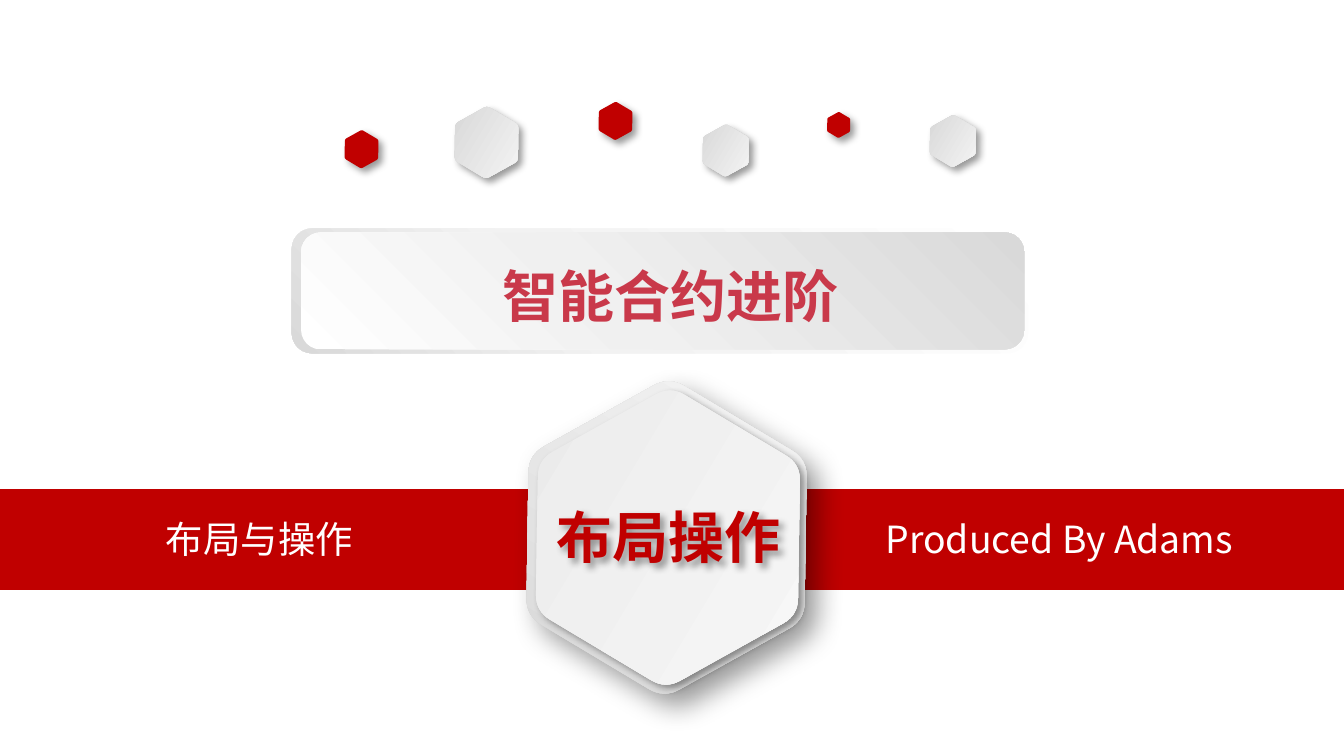
import math

import lxml.etree
import pptx
import pptx.dml.color
import pptx.enum.shapes
import pptx.enum.text
import pptx.oxml.ns
import pptx.util

Inches = pptx.util.Inches
Color = pptx.dml.color.RGBColor
Shape = pptx.enum.shapes.MSO_SHAPE
Align = pptx.enum.text.PP_ALIGN
Anchor = pptx.enum.text.MSO_ANCHOR
qn = pptx.oxml.ns.qn

RED = Color(0xC0, 0x00, 0x00)
ROSE = Color(0xC9, 0x39, 0x4A)
WHITE = Color(0xFF, 0xFF, 0xFF)
PALE = Color(0xF9, 0xF9, 0xF9)
MIST = Color(0xF2, 0xF2, 0xF2)
FOG = Color(0xF0, 0xF0, 0xF0)
CLOUD = Color(0xE9, 0xE9, 0xE9)
SILVER = Color(0xD9, 0xD9, 0xD9)
STEEL = Color(0xD3, 0xD3, 0xD3)
BLACK = Color(0x00, 0x00, 0x00)

FONT = "Noto Sans CJK SC"
WIDTH = 10
HEIGHT = WIDTH * 9 / 16
TILT = 30.9
CORNER = 0.11
CURVE_STEPS = 8

SMALL_SHADOW = {"blur": 4, "distance": 3}
LARGE_SHADOW = {"blur": 15, "distance": 9}
GREY_FILL = {"stops": [(0, STEEL), (100, PALE)], "angle": 0}
RIM_FILL = {"stops": [(0, STEEL), (100, PALE)], "angle": 270}
FACE_FILL = {"stops": [(0, CLOUD), (100, PALE)], "angle": 0}

BAND = (0, 3.64, WIDTH, 0.75)
HEXAGONS = [
    (3.62, 1.06, 0.47, GREY_FILL, SMALL_SHADOW),
    (4.58, 0.9, 0.25, RED, SMALL_SHADOW),
    (2.69, 1.11, 0.25, RED, SMALL_SHADOW),
    (5.4, 1.12, 0.34, GREY_FILL, SMALL_SHADOW),
    (6.24, 0.93, 0.17, RED, SMALL_SHADOW),
    (7.09, 1.05, 0.34, GREY_FILL, SMALL_SHADOW),
    (4.96, 4, 2.07, RIM_FILL, LARGE_SHADOW),
    (4.97, 4, 1.95, FACE_FILL, SMALL_SHADOW),
]
PLATES = [
    ((2.17, 1.7, 5.48, 0.93),
     {"stops": [(0, WHITE), (62, MIST), (100, SILVER)], "angle": 135}),
    ((2.24, 1.73, 5.38, 0.87),
     {"stops": [(0, WHITE), (42, FOG), (100, SILVER)], "angle": 315}),
]
SMALL_TEXT = {"size": pptx.util.Pt(20), "name": FONT, "bold": False}
LARGE_TEXT = {"size": pptx.util.Pt(30), "name": FONT, "bold": True}
LABELS = [
    ("布局与操作", (0.17, 3.79, 3.52, 0.44), Align.CENTER, SMALL_TEXT, WHITE),
    ("Produced By Adams", (6.49, 3.79, 3.5, 0.44), Align.LEFT, SMALL_TEXT, WHITE),
    ("智能合约进阶", (2.25, 1.9, 5.48, 0.6), Align.CENTER, LARGE_TEXT, ROSE),
]
BADGE = ("布局操作", (3.99, 3.74, 1.97, 0.5), Align.CENTER, LARGE_TEXT, RED)


def frame(place):
    return [Inches(length) for length in place]


def add_color(parent, color):
    return lxml.etree.SubElement(parent, qn("a:srgbClr"), val=str(color))


def paint(shape, fill):
    shape.line.fill.background()
    shape.shadow.inherit = False
    if isinstance(fill, Color):
        shape.fill.solid()
        shape.fill.fore_color.rgb = fill
        return
    shape.fill.gradient()
    shape.fill.gradient_angle = (360 - fill["angle"]) % 360
    stop_list = next(shape._element.iter(qn("a:gsLst")))
    for stop in list(stop_list):
        stop_list.remove(stop)
    for percent, color in fill["stops"]:
        stop = lxml.etree.SubElement(stop_list, qn("a:gs"), pos=str(percent * 1000))
        add_color(stop, color)


def cast_shadow(shape, blur, distance):
    effects = next(shape._element.iter(qn("a:effectLst")))
    shadow = lxml.etree.SubElement(
        effects, qn("a:outerShdw"), blurRad=str(pptx.util.Pt(blur)),
        dist=str(pptx.util.Pt(distance)), dir="2700000", algn="tl", rotWithShape="0")
    lxml.etree.SubElement(add_color(shadow, BLACK), qn("a:alpha"), val="40000")


def hexagon_outline(center_x, center_y, height):
    radius = height / math.sqrt(3)
    corners = [(center_x + radius * math.cos(math.radians(60 * turn)),
                center_y + radius * math.sin(math.radians(60 * turn)))
               for turn in range(6)]
    outline = []
    for index, corner in enumerate(corners):
        before, after = corners[index - 1], corners[(index + 1) % 6]
        for step in range(CURVE_STEPS + 1):
            share = step / CURVE_STEPS
            pull_before, pull_after = CORNER * (1 - share) ** 2, CORNER * share ** 2
            outline.append(tuple(
                Inches(c + pull_before * (b - c) + pull_after * (a - c))
                for b, c, a in zip(before, corner, after)))
    return outline


def add_hexagon(page, center_x, center_y, height, fill, shadow):
    outline = hexagon_outline(center_x, center_y, height)
    builder = page.shapes.build_freeform(*outline[0], scale=1.0)
    builder.add_line_segments(outline[1:], close=True)
    hexagon = builder.convert_to_shape()
    hexagon.rotation = TILT
    paint(hexagon, fill)
    cast_shadow(hexagon, **shadow)


def write(box, text, align, style, color):
    box.text_frame.word_wrap = True
    para = box.text_frame.paragraphs[0]
    para.alignment = align
    span = para.add_run()
    span.text = text
    for attribute, value in style.items():
        setattr(span.font, attribute, value)
    span.font.color.rgb = color
    lxml.etree.SubElement(span.font._element, qn("a:ea"), typeface=FONT)


def main():
    deck = pptx.Presentation()
    deck.slide_width, deck.slide_height = Inches(WIDTH), Inches(HEIGHT)
    page = deck.slides.add_slide(deck.slide_layouts[6])

    paint(page.shapes.add_shape(Shape.RECTANGLE, *frame(BAND)), RED)
    for hexagon in HEXAGONS:
        add_hexagon(page, *hexagon)
    for place, fill in PLATES:
        paint(page.shapes.add_shape(Shape.ROUNDED_RECTANGLE, *frame(place)), fill)
    for text, place, *look in LABELS:
        write(page.shapes.add_textbox(*frame(place)), text, *look)

    text, place, *look = BADGE
    badge = page.shapes.add_shape(Shape.ROUNDED_RECTANGLE, *frame(place))
    badge.fill.background()
    badge.line.fill.background()
    badge.shadow.inherit = False
    cast_shadow(badge, **SMALL_SHADOW)
    badge.text_frame.vertical_anchor = Anchor.MIDDLE
    write(badge, text, *look)

    deck.save("out.pptx")


if __name__ == "__main__":
    main()
